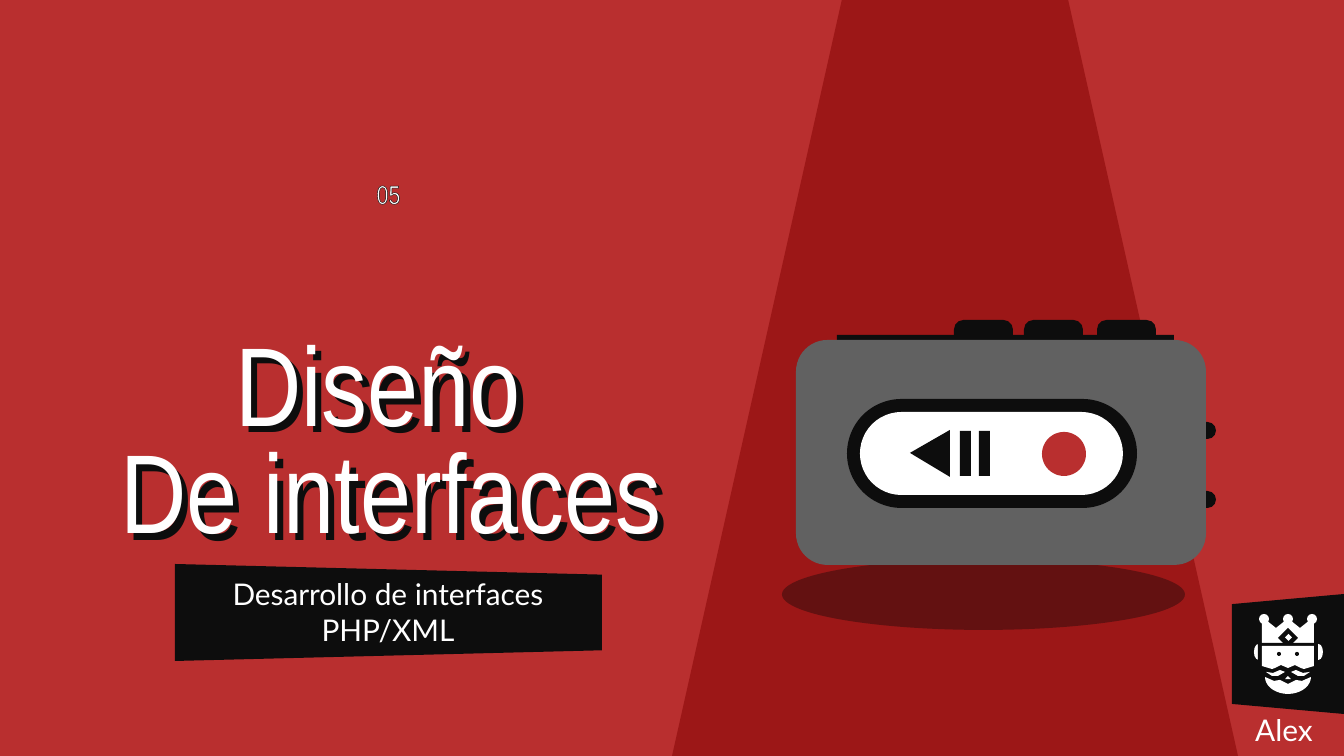
import math
from lxml import etree
from pptx import Presentation
from pptx import util as u
from pptx.dml.color import RGBColor
from pptx.enum import shapes, text
from pptx.oxml import ns

EMU_PER_PX = 914400 / 134.4
RED, DARK_RED, SHADE = "B92F2F", "9C1717", "631111"
BLACK, GREY, WHITE = "0D0D0D", "616161", "FFFFFF"
KIND = shapes.MSO_SHAPE


def px(length):
    """Turn a length in px into EMU."""
    return u.Emu(round(length * EMU_PER_PX))


def paint(fill, colour):
    """Give a fill one solid colour."""
    fill.solid()
    fill.fore_color.rgb = RGBColor.from_string(colour)


def finish(shape, colour):
    """Leave a shape with a plain fill, no line and no shadow."""
    shape.shadow.inherit = False
    paint(shape.fill, colour)
    shape.line.fill.background()
    return shape


def add_shape(slide, kind, left, top, width, height, colour, adjust=None):
    """Add a filled preset shape."""
    shape = slide.shapes.add_shape(kind, px(left), px(top), px(width), px(height))
    if adjust is not None:
        shape.adjustments[0] = adjust
    return finish(shape, colour)


def add_polygon(slide, left, top, points, colour):
    """Add a closed outline whose points are relative to left and top."""
    corners = [(px(left + x), px(top + y)) for x, y in points]
    builder = slide.shapes.build_freeform(*corners[0])
    builder.add_line_segments(corners[1:], close=True)
    return finish(builder.convert_to_shape(), colour)


def add_turned_trapezoid(slide, left, top, width, height, rotation, adjust):
    """Add a trapezoid turned on its side that fills the given box."""
    shape = add_shape(slide, KIND.TRAPEZOID, left + (width - height) / 2,
                      top + (height - width) / 2, height, width, BLACK, adjust)
    shape.rotation = rotation


def add_text(slide, left, top, width, height, lines, size, font="Lato",
             anchor=text.MSO_ANCHOR.MIDDLE, inset=13, spacing=None):
    """Add a centred white text box with one paragraph for each line."""
    shape = slide.shapes.add_textbox(px(left), px(top), px(width), px(height))
    frame = shape.text_frame
    frame.word_wrap = True
    frame.vertical_anchor = anchor
    frame.margin_left = frame.margin_right = px(inset)
    frame.margin_top = frame.margin_bottom = px(inset)
    frame.text = "\n".join(lines)
    for paragraph in frame.paragraphs:
        paragraph.alignment = text.PP_ALIGN.CENTER
        paragraph.line_spacing = spacing
        run_font = paragraph.runs[0].font
        run_font.name, run_font.size = font, u.Pt(size)
        paint(run_font.fill, WHITE)
    return shape


def add_hard_shadow(shape, distance):
    """Cast a sharp black shadow down and to the right."""
    effects = etree.SubElement(shape._element.spPr, ns.qn("a:effectLst"))
    shadow = etree.SubElement(effects, ns.qn("a:outerShdw"), dist=str(px(distance)),
                              dir="2700000", algn="bl", rotWithShape="0")
    etree.SubElement(shadow, ns.qn("a:srgbClr"), val=BLACK)


def outline_text(shape, points):
    """Draw a black outline around the first run of a text box."""
    properties = shape.text_frame.paragraphs[0].runs[0].font._element
    line = etree.Element(ns.qn("a:ln"), w=str(u.Pt(points)))
    fill = etree.SubElement(line, ns.qn("a:solidFill"))
    etree.SubElement(fill, ns.qn("a:srgbClr"), val=BLACK)
    properties.insert(0, line)


def add_heading(slide, left, top):
    """Place the number, the title and the subtitle ribbon."""
    add_turned_trapezoid(slide, left + 96, top + 393, 427, 97, 90, 0.11)
    add_text(slide, left + 110, top + 403, 398, 75,
             ["Desarrollo de interfaces PHP/XML"], 16)
    number = add_text(slide, left + 241, top, 137, 136, ["05"], 14, "Arial Narrow",
                      text.MSO_ANCHOR.TOP, inset=7)
    outline_text(number, 1.5)
    title = add_text(slide, left, top + 209, 624, 136, ["Diseño ", "De interfaces"],
                     60, "Arial Narrow", spacing=0.8)
    add_hard_shadow(title, 9)


def add_recorder(slide, left, top):
    """Place the cassette recorder and its floor shadow."""
    add_shape(slide, KIND.OVAL, left - 14, top + 239, 403, 71, SHADE)
    add_shape(slide, KIND.RECTANGLE, left + 41, top + 15, 337, 19, BLACK)
    for y in (102, 171):
        add_shape(slide, KIND.ROUNDED_RECTANGLE, left + 399, top + y, 21, 17, BLACK, 0.5)
    for x in (158, 228, 301):
        add_shape(slide, KIND.ROUNDED_RECTANGLE, left + x, top, 59, 62, BLACK, 0.16)
    for x, y, width, height, colour, adjust in (
            (0, 20, 410, 225, GREY, 0.14),
            (51, 79, 290, 109, BLACK, 0.5),
            (64, 92, 263, 83, WHITE, 0.5)):
        add_shape(slide, KIND.ROUNDED_RECTANGLE, left + x, top + y, width, height,
                  colour, adjust)
    add_polygon(slide, left, top, [(154, 110), (114, 133), (154, 157)], BLACK)
    for x in (164, 183):
        add_shape(slide, KIND.RECTANGLE, left + x, top + 111, 11, 45, BLACK)
    add_shape(slide, KIND.OVAL, left + 246, top + 112, 44, 44, RED)


def mirrored(points, axis=34):
    """Reflect points across a vertical axis."""
    return [(2 * axis - x, y) for x, y in points]


def add_king(slide, left, top):
    """Place the crowned and bearded head."""
    crown = [(8, 29), (8, 7), (12, 6), (22, 14), (32, 6)]
    add_polygon(slide, left, top, crown + mirrored(crown)[::-1], WHITE)
    for x in (5, 29, 53):
        add_shape(slide, KIND.OVAL, left + x, top, 10, 10, WHITE)
    for x in (0, 60):
        add_shape(slide, KIND.OVAL, left + x, top + 30, 9, 16, WHITE)
    add_shape(slide, KIND.RECTANGLE, left + 4, top + 29, 60, 18, BLACK)
    add_shape(slide, KIND.DIAMOND, left + 24, top + 14, 20, 20, BLACK)
    add_shape(slide, KIND.DIAMOND, left + 31, top + 20, 7, 7, WHITE)
    face = [(8, 32), (8, 52), (18, 55), (21, 54), (27, 51), (34, 54)]
    add_polygon(slide, left, top, face + mirrored(face)[::-1], WHITE)
    for x in (23, 41):
        add_shape(slide, KIND.OVAL, left + x, top + 38, 4, 4, BLACK)
    whiskers = [(12, 58), (19, 59), (26, 56), (31, 58), (24, 62), (18, 62)]
    for points in (whiskers, mirrored(whiskers), [(34, 62), (31, 65), (37, 65)]):
        add_polygon(slide, left, top, points, WHITE)
    chin = [(34 + 23 * math.cos(math.radians(angle)),
             63 + 17 * math.sin(math.radians(angle))) for angle in range(0, 181, 10)]
    beard = [(20, 67), (26, 66), (34, 70), (42, 66), (48, 67)]
    add_polygon(slide, left, top, chin + beard, WHITE)


def add_badge(slide, left, top):
    """Place the author's panel, head and name."""
    add_turned_trapezoid(slide, left, top, 112, 120, 270, 0.09)
    add_king(slide, left + 22, top + 20)
    add_text(slide, left - 8, top + 108, 120, 55, ["Alex"], 16)


def main():
    """Build and save the slide."""
    presentation = Presentation()
    presentation.slide_width, presentation.slide_height = px(1344), px(756)
    slide = presentation.slides.add_slide(presentation.slide_layouts[6])
    paint(slide.background.fill, RED)
    add_shape(slide, KIND.TRAPEZOID, 672, 0, 566, 756, DARK_RED, 0.3)
    add_heading(slide, 79, 171)
    add_recorder(slide, 796, 320)
    add_badge(slide, 1232, 594)
    presentation.save("out.pptx")


if __name__ == "__main__":
    main()
